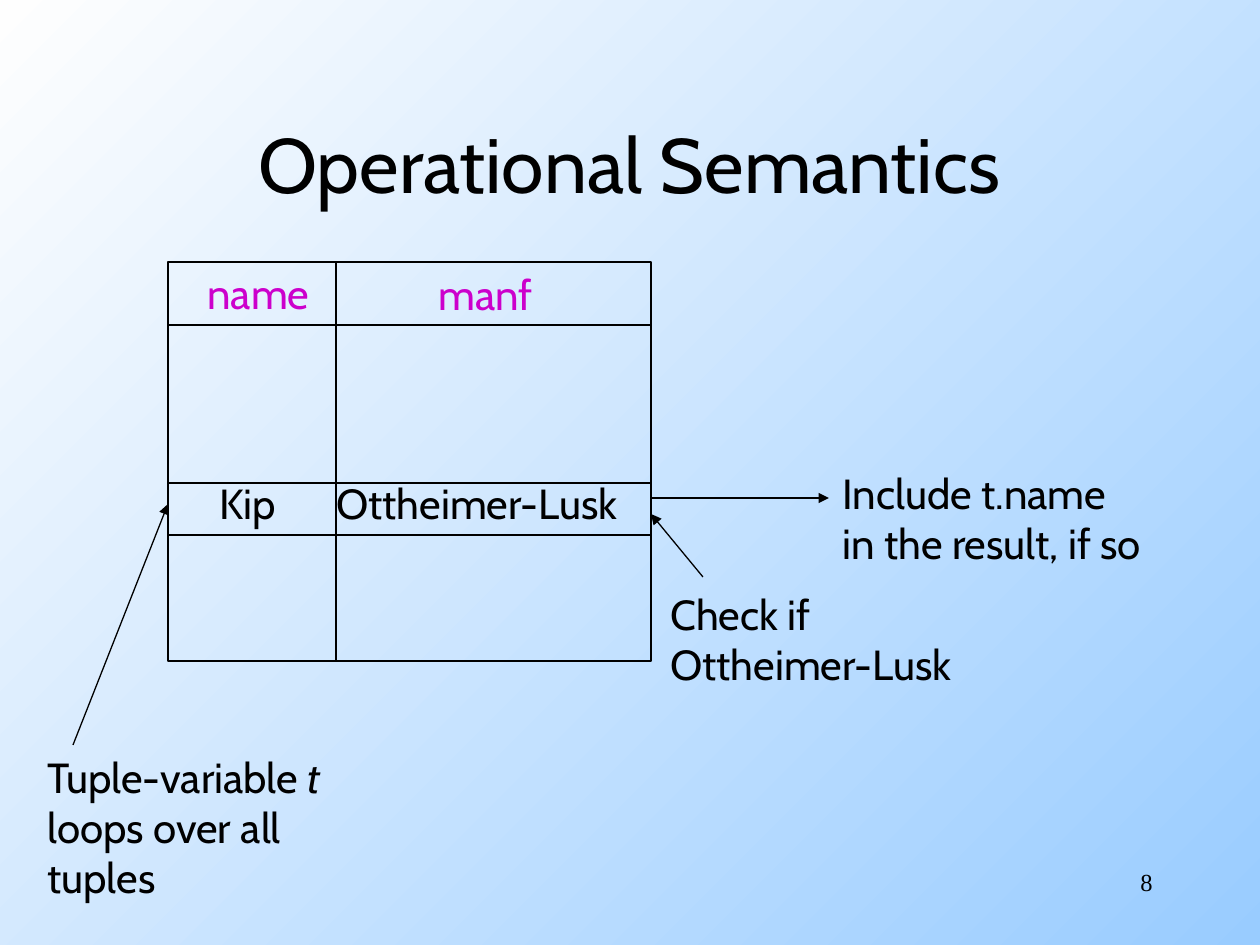
from lxml.etree import SubElement
from pptx import Presentation
from pptx.dml.color import RGBColor
from pptx.enum.shapes import MSO_CONNECTOR, MSO_SHAPE
from pptx.enum.text import MSO_ANCHOR, PP_ALIGN
from pptx.oxml.ns import qn
from pptx.util import Pt

SCALE = 914400 / 126  # EMU in one px


def emu(px):
    return round(px * SCALE)


def color(code):
    return RGBColor.from_string(code)


class Board:
    font, size, ink, weight = "Cabin", 24, "000000", 0.75

    def __init__(self, slide):
        self.slide = slide

    def backdrop(self, start, end, angle):
        fill = self.slide.background.fill
        fill.gradient()
        fill.gradient_angle = angle
        for stop, code in zip(fill.gradient_stops, (start, end)):
            stop.color.rgb = color(code)

    def pen(self, line):
        line.color.rgb = color(self.ink)
        line.width = Pt(self.weight)

    def frame(self, left, top, width, height):
        box = self.slide.shapes.add_shape(
            MSO_SHAPE.RECTANGLE, *map(emu, (left, top, width, height)))
        box.shadow.inherit = False
        box.fill.background()
        self.pen(box.line)

    def line(self, x1, y1, x2, y2, arrow=False):
        link = self.slide.shapes.add_connector(
            MSO_CONNECTOR.STRAIGHT, *map(emu, (x1, y1, x2, y2)))
        self.pen(link.line)
        props = link._element.spPr
        if arrow:
            SubElement(props.find(qn("a:ln")), qn("a:tailEnd"), type="triangle")
        SubElement(props, qn("a:effectLst"))

    def text(self, left, top, width, height, *rows, size=None, font=None,
             ink=None, align=PP_ALIGN.LEFT, anchor=MSO_ANCHOR.TOP):
        """Each row is a string, or a pair of plain and italic text."""
        box = self.slide.shapes.add_textbox(
            *map(emu, (left, top, width, height)))
        frame = box.text_frame
        frame.word_wrap = True
        frame.vertical_anchor = anchor
        for i, row in enumerate(rows):
            para = frame.add_paragraph() if i else frame.paragraphs[0]
            para.alignment = align
            para.font.name = font or self.font
            para.font.size = Pt(size or self.size)
            para.font.color.rgb = color(ink or self.ink)
            plain, slant = (row, "") if isinstance(row, str) else row
            para.add_run().text = plain
            if slant:
                run = para.add_run()
                run.text = slant
                run.font.italic = True


def main():
    deck = Presentation()
    deck.slide_width, deck.slide_height = emu(1260), emu(945)
    board = Board(deck.slides.add_slide(deck.slide_layouts[6]))
    board.backdrop("99CCFF", "FEFEFE", 135)
    maker = "Ottheimer-Lusk"

    # Title
    board.text(94, 84, 1071, 158, "Operational Semantics", size=44,
               align=PP_ALIGN.CENTER, anchor=MSO_ANCHOR.MIDDLE)

    # Relation grid
    left, top, right, bottom = 168, 262, 651, 661
    board.frame(left, top, right - left, bottom - top)
    for y in (325, 483, 535):
        board.line(left, y, right, y)
    board.line(336, top, 336, bottom)

    # Column heads and the current tuple
    board.text(195, 261, 137, 63, "name", ink="CC00CC")
    board.text(426, 262, 129, 63, "manf", ink="CC00CC")
    board.text(207, 471, 105, 63, "Kip")
    board.text(324, 471, 348, 63, maker)

    # Notes and their arrows
    board.text(658, 582, 348, 113, "Check if", maker)
    board.line(703, 577, right, 514, arrow=True)
    board.text(830, 461, 365, 113, "Include t.name", "in the result, if so")
    board.line(right, 498, 829, 498, arrow=True)
    board.text(35, 745, 330, 164, ("Tuple-variable ", "t"),
               "loops over all", "tuples")
    board.line(73, 745, left, 504, arrow=True)

    # Page number
    board.text(903, 861, 262, 63, "8", size=14, font="Times New Roman",
               align=PP_ALIGN.RIGHT)

    deck.save("out.pptx")


if __name__ == "__main__":
    main()
